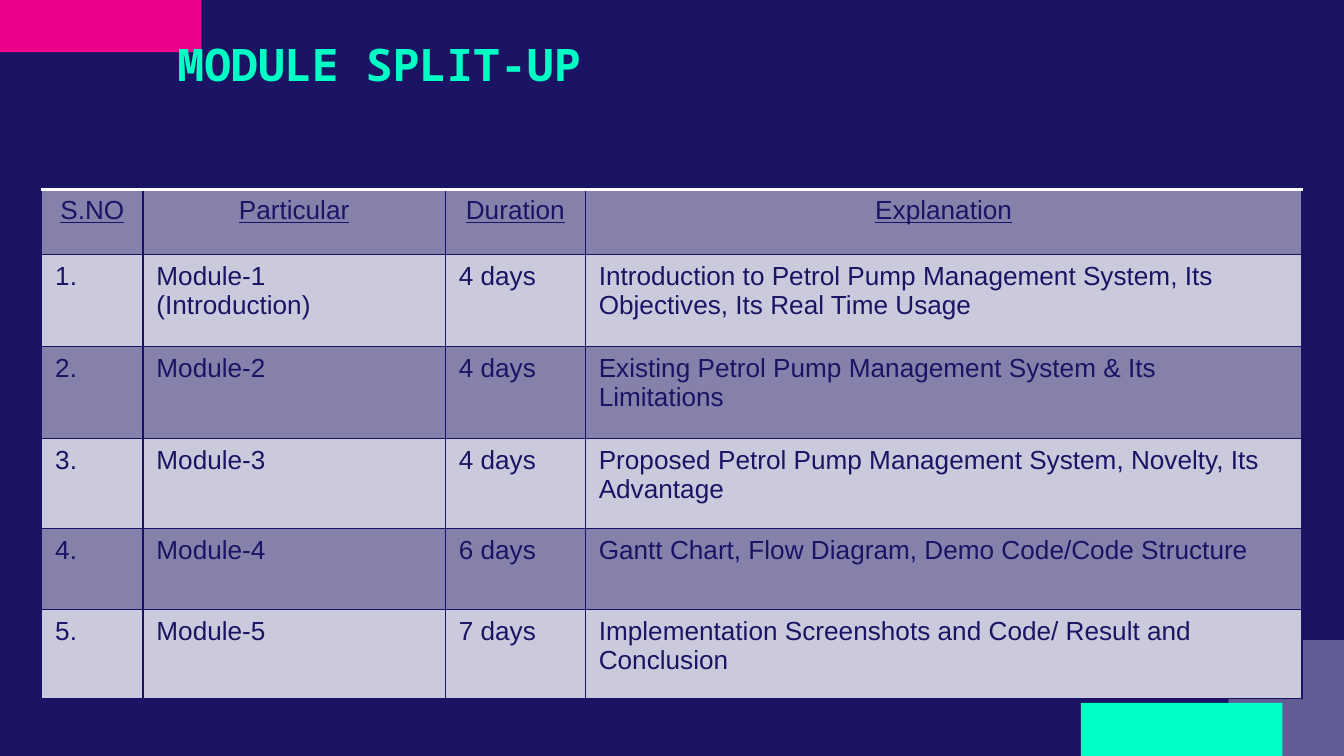
import pptx
import pptx.util
import pptx.dml.color
import pptx.enum.shapes
import pptx.enum.text
import pptx.oxml
import pptx.oxml.ns
import lxml.etree

Pt = pptx.util.Pt

THEME = {
    "background": "1B1464", "ink": "1B1464", "grid": "191264",
    "rule": "FFFFFF", "accent": "00FFC5", "pink": "EC008C", "white": "FFFFFF",
    "dark_band": "8581AB", "light_band": "CBC9DC",
    "title_font": "Noto Sans Mono", "body_font": "Arial",
    "title_size": 24, "body_size": 14, "grid_width": 0.75, "rule_width": 2,
}

TITLE = "MODULE SPLIT-UP"
HEADINGS = ["S.NO", "Particular", "Duration", "Explanation"]
MODULES = [
    ("Module-1\n(Introduction)", "4 days",
     "Introduction to Petrol Pump Management System, Its Objectives, Its Real Time Usage"),
    ("Module-2", "4 days", "Existing Petrol Pump Management System & Its Limitations"),
    ("Module-3", "4 days", "Proposed Petrol Pump Management System, Novelty, Its Advantage"),
    ("Module-4", "6 days", "Gantt Chart, Flow Diagram, Demo Code/Code Structure"),
    ("Module-5", "7 days", "Implementation Screenshots and Code/ Result and Conclusion"),
]

SLIDE_WIDTH, SLIDE_HEIGHT = 720, 405
# left, top, width, height, colour, opacity in percent
CORNER_BLOCKS = [
    (0, 0, 108, 28, "pink", 100),
    (658, 343, 62, 62, "white", 31),
    (579, 376.6, 108, 28.4, "accent", 100),
]
TITLE_BOX = (88, 16, 360, 53)
TABLE_LEFT, TABLE_TOP = 22.4, 48.8
COLUMN_WIDTHS = [54.2, 162, 75, 384]
ROW_HEIGHTS = [52.6, 35, 49.4, 49.2, 48.4, 43.4, 47.6]


def colour(name):
    return pptx.dml.color.RGBColor.from_string(THEME[name])


def add_run(paragraph, text, kind, colour_name, **style):
    run = paragraph.add_run()
    run.text = text
    run.font.name = THEME[kind + "_font"]
    run.font.size = Pt(THEME[kind + "_size"])
    run.font.color.rgb = colour(colour_name)
    for attribute, value in style.items():
        setattr(run.font, attribute, value)


def add_block(slide, left, top, width, height, fill, opacity):
    block = slide.shapes.add_shape(
        pptx.enum.shapes.MSO_SHAPE.RECTANGLE, Pt(left), Pt(top), Pt(width), Pt(height))
    block.shadow.inherit = False
    block.line.fill.background()
    block.fill.solid()
    block.fill.fore_color.rgb = colour(fill)
    if opacity < 100:
        tint = block.fill._xPr.find(".//" + pptx.oxml.ns.qn("a:srgbClr"))
        alpha = lxml.etree.SubElement(tint, pptx.oxml.ns.qn("a:alpha"))
        alpha.set("val", str(opacity * 1000))


def set_borders(cell, ruled_side):
    """Draw the grid on all four sides, with the heavy rule on ruled_side."""
    properties = cell._tc.get_or_add_tcPr()
    for position, side in enumerate("LRTB"):
        kind = "rule" if side == ruled_side else "grid"
        width = int(Pt(THEME[kind + "_width"]))
        properties.insert(position, pptx.oxml.parse_xml(
            f'<a:ln{side} {pptx.oxml.ns.nsdecls("a")} w="{width}"><a:solidFill>'
            f'<a:srgbClr val="{THEME[kind]}"/></a:solidFill></a:ln{side}>'))


def fill_cell(cell, text, fill, heading, ruled_side):
    cell.fill.solid()
    cell.fill.fore_color.rgb = colour(fill)
    set_borders(cell, ruled_side)
    if not text:
        return
    for index, line in enumerate(text.split("\n")):
        frame = cell.text_frame
        paragraph = frame.add_paragraph() if index else frame.paragraphs[0]
        if heading:
            paragraph.alignment = pptx.enum.text.PP_ALIGN.CENTER
        add_run(paragraph, line, "body", "ink", underline=heading)


def add_module_table(slide):
    rows = [[""] * len(HEADINGS), HEADINGS]
    rows += [(f"{number}.", *module) for number, module in enumerate(MODULES, 1)]
    table = slide.shapes.add_table(
        len(rows), len(HEADINGS), Pt(TABLE_LEFT), Pt(TABLE_TOP),
        Pt(sum(COLUMN_WIDTHS)), Pt(sum(ROW_HEIGHTS))).table
    table.first_row = table.horz_banding = False
    for column, width in zip(table.columns, COLUMN_WIDTHS):
        column.width = Pt(width)
    for index, texts in enumerate(rows):
        table.rows[index].height = Pt(ROW_HEIGHTS[index])
        band = "dark_band" if index % 2 else "light_band"
        fill = band if index else "background"
        ruled_side = {0: "B", 1: "T"}.get(index)
        for cell, text in zip(table.rows[index].cells, texts):
            fill_cell(cell, text, fill, index == 1, ruled_side)


def main():
    deck = pptx.Presentation()
    deck.slide_width, deck.slide_height = Pt(SLIDE_WIDTH), Pt(SLIDE_HEIGHT)
    slide = deck.slides.add_slide(deck.slide_layouts[6])
    slide.background.fill.solid()
    slide.background.fill.fore_color.rgb = colour("background")

    for block in CORNER_BLOCKS:
        add_block(slide, *block)
    title = slide.shapes.add_textbox(*map(Pt, TITLE_BOX)).text_frame
    title.word_wrap = True
    add_run(title.paragraphs[0], TITLE, "title", "accent", bold=True)
    add_module_table(slide)
    deck.save("out.pptx")


if __name__ == "__main__":
    main()
